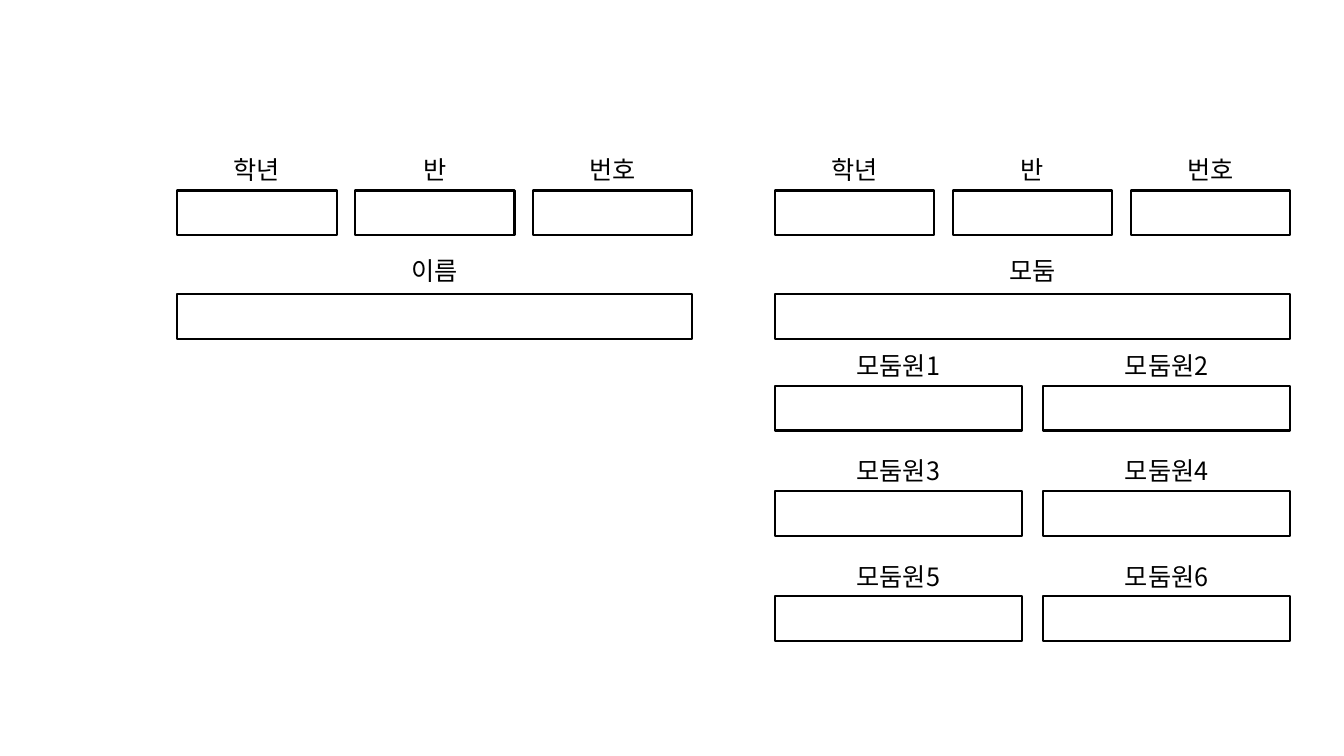
from pptx import Presentation
from pptx.dml.color import RGBColor
from pptx.enum.shapes import MSO_SHAPE as Shape
from pptx.enum.text import MSO_AUTO_SIZE as Auto, PP_ALIGN as Align
from pptx.util import Cm, Pt

# Content: each row is label top, box top, gap, then (label, label width)
TOP = (3.76, 4.8, 0.47, [("학년", 1.8), ("반", 1.14), ("번호", 2.13)])
TEAM = [
    (8.71 + 2.65 * i, 9.73 + 2.65 * i, 0.54,
     [(f"모둠원{2 * i + k}", 3.5) for k in (1, 2)])
    for i in range(3)
]
FORMS = [
    (4.47, [TOP, (6.3, 7.42, 0, [("이름", 3.5)])]),
    (19.53, [TOP, (6.3, 7.42, 0, [("모둠", 3.5)]), *TEAM]),
]
COLORS = {"ink": "000000"}
FONT = "Noto Sans CJK KR"
WIDTH, BOX_H, LABEL_H = 12.98, 1.12, 1.02

deck = Presentation()
deck.slide_width, deck.slide_height = Cm(33.87), Cm(19.05)
slide = deck.slides.add_slide(deck.slide_layouts[6])
ink = RGBColor.from_string(COLORS["ink"])


def add_box(x, y, w):
    box = slide.shapes.add_shape(Shape.RECTANGLE, Cm(x), Cm(y), Cm(w), Cm(BOX_H))
    box.shadow.inherit = False
    box.fill.background()
    box.line.color.rgb = ink
    box.line.width = Pt(1.5)


def add_label(text, mid, y, w):
    label = slide.shapes.add_textbox(Cm(mid - w / 2), Cm(y), Cm(w), Cm(LABEL_H))
    frame = label.text_frame
    frame.text = text
    frame.word_wrap = True
    frame.auto_size = Auto.SHAPE_TO_FIT_TEXT
    para = frame.paragraphs[0]
    para.alignment = Align.CENTER
    run = para.runs[0]
    run.font.size = Pt(18)
    run.font.name = FONT
    run.font.color.rgb = ink
    # East Asian typeface for the Korean text
    props = run.font._element
    east = props.makeelement(
        "{http://schemas.openxmlformats.org/drawingml/2006/main}ea",
        {"typeface": FONT})
    props.append(east)


# Equal boxes across each row, each with a centred label above it
for left, rows in FORMS:
    for label_y, box_y, gap, cells in rows:
        count = len(cells)
        box_w = (WIDTH - gap * (count - 1)) / count
        for i, (text, label_w) in enumerate(cells):
            x = left + i * (box_w + gap)
            add_box(x, box_y, box_w)
            add_label(text, x + box_w / 2, label_y, label_w)

deck.save("out.pptx")
